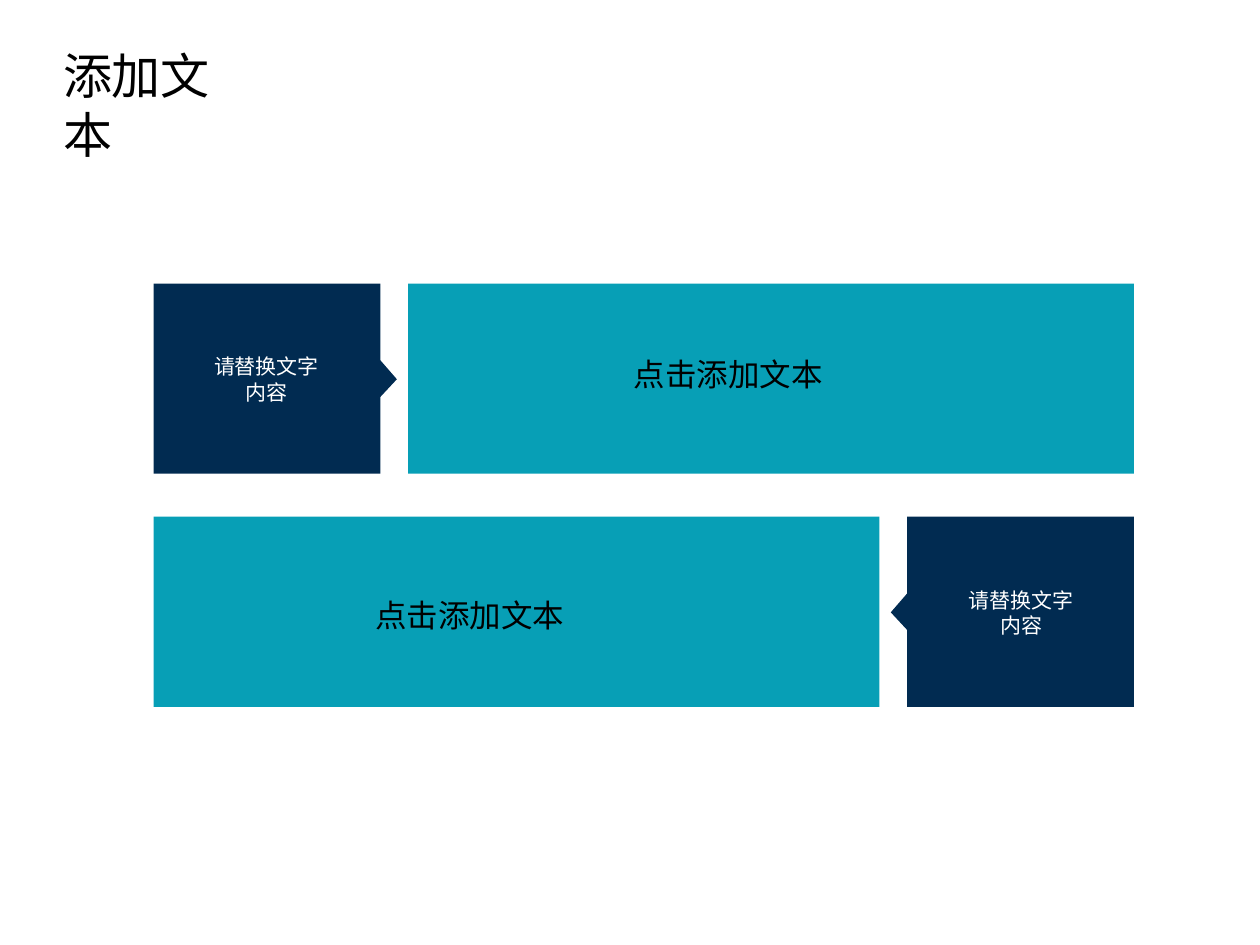
"""Build a slide with two mirrored rows of a pointed tag and a wide bar."""
from dataclasses import dataclass

from lxml import etree
from pptx import Presentation
from pptx.dml.color import RGBColor
from pptx.enum.shapes import MSO_SHAPE
from pptx.enum.text import MSO_ANCHOR, MSO_AUTO_SIZE, PP_ALIGN
from pptx.oxml.ns import qn
from pptx.util import Inches, Pt

RECT = MSO_SHAPE.RECTANGLE
TOP = MSO_ANCHOR.TOP
GROW = MSO_AUTO_SIZE.SHAPE_TO_FIT_TEXT
LEFT, CENTER = PP_ALIGN.LEFT, PP_ALIGN.CENTER


@dataclass(frozen=True)
class Theme:
    navy: RGBColor = RGBColor(0x01, 0x2B, 0x51)
    teal: RGBColor = RGBColor(0x07, 0x9F, 0xB6)
    black: RGBColor = RGBColor(0, 0, 0)
    white: RGBColor = RGBColor(255, 255, 255)
    latin: str = "Arial"
    cjk: str = "Noto Sans CJK SC"
    title: int = 28
    body: int = 18
    label: int = 12


theme = Theme()


def put_text(sp, text, size, color, font, align=LEFT, wrap=False, inset=(0.1, 0.05)):
    tf = sp.text_frame
    tf.word_wrap = wrap
    tf.auto_size = GROW
    tf.vertical_anchor = TOP
    tf.margin_left = tf.margin_right = Inches(inset[0])
    tf.margin_top = tf.margin_bottom = Inches(inset[1])
    p = tf.paragraphs[0]
    p.text = text
    p.alignment = align
    p.font.size = Pt(size)
    p.font.color.rgb = color
    p.font.name = font
    props = p._p.pPr.find(qn("a:defRPr"))
    etree.SubElement(props, qn("a:ea")).set("typeface", theme.cjk)


def paint(sp, color):
    sp.fill.solid()
    sp.fill.fore_color.rgb = color
    sp.line.fill.background()
    sp.shadow.inherit = False


prs = Presentation()
prs.slide_width, prs.slide_height = Inches(10), Inches(7.5)
s = prs.slides.add_slide(prs.slide_layouts[5])

title = s.shapes.title
title.left, title.top = Inches(0.4), Inches(0.31)
title.width, title.height = Inches(1.75), Inches(0.57)
put_text(title, "添加文本", theme.title, theme.black, theme.cjk)

row_h, bar_w, label_w = 1.51, 5.76, 0.91
outer, inner, tip, bar_x, label_x = 1.22, 3.02, 3.15, 3.24, 1.66
span = 10.22
rows = [(2.25, False, 4.93, 2.77), (4.1, True, 2.88, 4.68)]

for y, flipped, text_x, text_y in rows:
    x = span - bar_x - bar_w if flipped else bar_x
    bar = s.shapes.add_shape(RECT, Inches(x), Inches(y), Inches(bar_w), Inches(row_h))
    paint(bar, theme.teal)

    outline = [(outer, 0), (inner, 0), (inner, 0.61), (tip, 0.76),
               (inner, 0.9), (inner, row_h), (outer, row_h)]
    points = [(Inches(span - px if flipped else px), Inches(y + py)) for px, py in outline]
    builder = s.shapes.build_freeform(*points[0])
    builder.add_line_segments(points[1:], close=True)
    paint(builder.convert_to_shape(), theme.navy)

    x = span - label_x - label_w if flipped else label_x
    label = s.shapes.add_textbox(Inches(x), Inches(y + 0.56), Inches(label_w), Inches(0.4))
    put_text(label, "请替换文字内容", theme.label, theme.white, theme.latin,
             CENTER, wrap=True, inset=(0, 0))

    body = s.shapes.add_textbox(Inches(text_x), Inches(text_y), Inches(1.7), Inches(0.4))
    put_text(body, "点击添加文本", theme.body, theme.black, theme.cjk)

prs.save("out.pptx")
